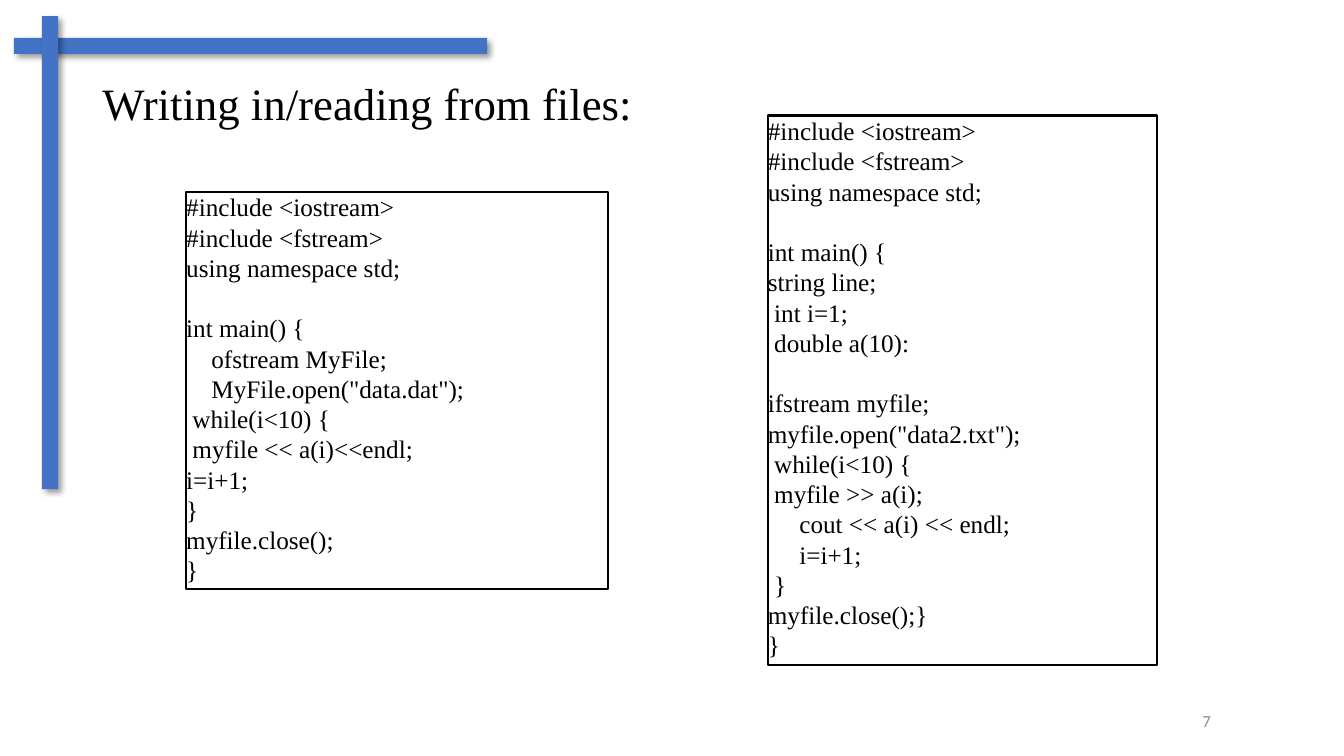
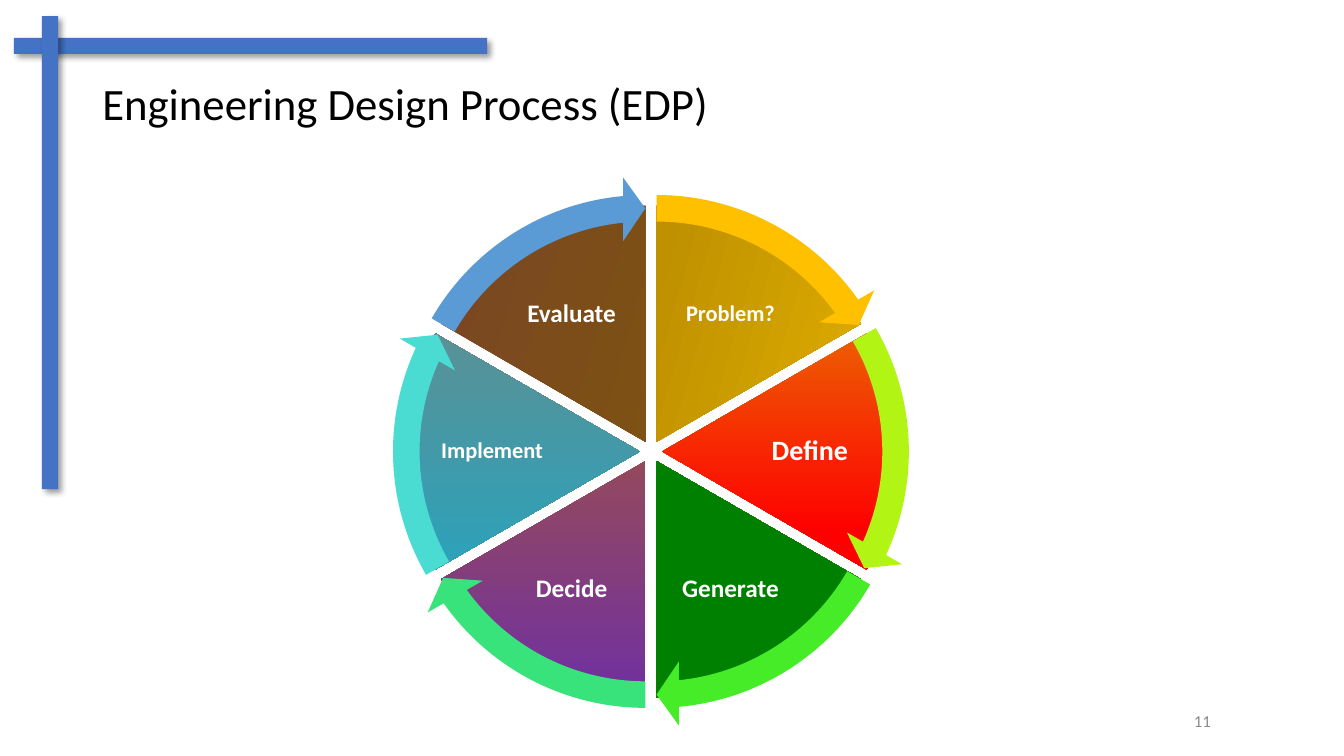
import math
from dataclasses import dataclass

import lxml.etree
import pptx
import pptx.dml.color
import pptx.enum.shapes
import pptx.enum.text
import pptx.oxml.ns
import pptx.util

Pt = pptx.util.Pt
Shape = pptx.enum.shapes.MSO_SHAPE
Align = pptx.enum.text.PP_ALIGN
Anchor = pptx.enum.text.MSO_ANCHOR
qn = pptx.oxml.ns.qn


@dataclass(frozen=True)
class Theme:
    sans: str = "Calibri"
    serif: str = "Times New Roman"
    ink: str = "000000"
    white: str = "FFFFFF"
    grey: str = "8C8C8C"
    bar: str = "4472C4"
    title: int = 32
    code: int = 18
    page: int = 12


THEME = Theme()

WRITE = """#include <iostream>
#include <fstream>
using namespace std;

int main() {
    ofstream MyFile;
    MyFile.open("data.dat");
 while(i<10) {
 myfile << a(i)<<endl;
i=i+1;
}
myfile.close();
}"""

READ = """#include <iostream>
#include <fstream>
using namespace std;

int main() {
string line;
 int i=1;
 double a(10):

ifstream myfile;
myfile.open("data2.txt");
 while(i<10) {
 myfile >> a(i);
     cout << a(i) << endl;
     i=i+1;
 }
myfile.close();}
}"""

# Clockwise from the top: label, type size, arrow colour, angle, gradient stops
STEPS = [
    ("Problem?", 16, "FFC000", 16,
     [(0, "F4B700"), (41, "BF9000"), (97, "E6B500"), (100, "D19D00")]),
    ("Define", 20, "B2F514", 90, [(1, "E29504"), (67, "FF0000")]),
    ("Generate", 18, "46EC27", 16, [(1, "E29504"), (44, "008000")]),
    ("Decide", 18, "39E37B", 90, [(1, "B9621A"), (100, "7030A0")]),
    ("Implement", 16, "4ADCD2", 90,
     [(0, "7A4426"), (22, "5C9094"), (100, "14ABCE")]),
    ("Evaluate", 18, "5B9BD5", 16, [(0, "7A4426"), (100, "806000")]),
]


def rgb(code):
    return pptx.dml.color.RGBColor.from_string(code)


def add_text(slide, box, text, size, font, color, align=Align.LEFT,
             anchor=Anchor.MIDDLE, inset=None, space=None, bold=False):
    """Add a text box holding one paragraph in one style."""
    shape = slide.shapes.add_textbox(*map(Pt, box))
    frame = shape.text_frame
    frame.word_wrap = True
    frame.vertical_anchor = anchor
    if inset is not None:
        frame.margin_left = frame.margin_right = Pt(inset)
        frame.margin_top = frame.margin_bottom = Pt(inset)
    para = frame.paragraphs[0]
    para.text = text
    para.alignment = align
    para.line_spacing = space
    for run in para.runs:
        run.font.size = Pt(size)
        run.font.name = font
        run.font.bold = bold
        run.font.color.rgb = rgb(color)
    return shape


def add_form(slide, kind, box, color=None):
    """Add a preset shape with no line and no shadow."""
    shape = slide.shapes.add_shape(kind, *map(Pt, box))
    shape.shadow.inherit = False
    shape.line.fill.background()
    if color:
        shape.fill.solid()
        shape.fill.fore_color.rgb = rgb(color)
    return shape


def add_node(parent, tag, **attrs):
    return lxml.etree.SubElement(
        parent, qn(tag), {key: str(val) for key, val in attrs.items()})


def add_bar(slide, box):
    """Add a blue bar with a soft shadow to the lower right."""
    bar = add_form(slide, Shape.RECTANGLE, box, THEME.bar)
    glow = add_node(bar.element.spPr.find(qn("a:effectLst")), "a:outerShdw",
                    blurRad=Pt(4), dist=Pt(3), dir=45 * 60000,
                    algn="tl", rotWithShape=0)
    tint = add_node(glow, "a:srgbClr", val="000000")
    add_node(tint, "a:alpha", val=40000)


def add_blend(shape, angle, stops):
    """Fill a shape with a linear gradient, angle clockwise."""
    shape.fill.gradient()
    shape.fill.gradient_angle = 360 - angle
    group = shape.element.spPr.find(".//" + qn("a:gsLst"))
    for stop in list(group):
        group.remove(stop)
    for place, color in stops:
        stop = add_node(group, "a:gs", pos=place * 1000)
        add_node(stop, "a:srgbClr", val=color)


def add_code(slide, box, code):
    """Add a framed code listing."""
    shape = add_text(slide, box, code, THEME.code, THEME.serif, THEME.ink,
                     anchor=Anchor.TOP, inset=0, space=Pt(21.6))
    shape.line.color.rgb = rgb(THEME.ink)
    shape.line.width = Pt(1.5)


def add_wheel(slide, mid_x, mid_y):
    """Add a ring of wedges, each with a label and a curved arrow."""
    turn = 216  # full circle in adjustment units
    share = turn / len(STEPS)
    gap, reach = 8, 113.5

    def place(angle, dist, wide, high):
        x = mid_x + dist * math.cos(angle)
        y = mid_y + dist * math.sin(angle)
        return x - wide / 2, y - high / 2, wide, high

    arrows = []
    for index, (label, size, color, slope, stops) in enumerate(STEPS):
        start = (turn * 3 / 4 + index * share) % turn
        end = (start + share) % turn
        angle = math.tau * (start + share / 2) / turn

        wedge = add_form(slide, Shape.PIE, place(angle, gap, 337, 337))
        wedge.adjustments[0], wedge.adjustments[1] = start, end
        add_blend(wedge, slope, stops)
        add_text(slide, place(angle, reach, 90, 68), label, size, THEME.sans,
                 THEME.white, Align.CENTER, inset=2, space=0.9, bold=True)
        arrows.append((place(angle, gap, 379, 379), color, start))

    # Arrows lie above all wedges
    for box, color, start in arrows:
        arrow = add_form(slide, Shape.CIRCULAR_ARROW, box, color)
        tip = (start + 32.72) % turn
        for index, value in enumerate((0.05, 3.28, tip, start, 0.06)):
            arrow.adjustments[index] = value


def add_slide(deck, title, font, page):
    """Add a slide with the shared bars, title and page number."""
    slide = deck.slides.add_slide(deck.slide_layouts[6])
    add_bar(slide, (10, 27, 338, 11.5))
    add_bar(slide, (30, 11.5, 11.5, 338))
    add_text(slide, (66, 29, 828, 94), title, THEME.title, font, THEME.ink,
             space=0.9)
    add_text(slide, (656, 500.5, 216, 29), page, THEME.page, THEME.sans,
             THEME.grey, Align.RIGHT)
    return slide


def main():
    deck = pptx.Presentation()
    deck.slide_width, deck.slide_height = Pt(960), Pt(540)

    # File input and output
    slide = add_slide(deck, "Writing in/reading from files:", THEME.serif, "7")
    add_code(slide, (133, 137, 301, 283.5), WRITE)
    add_code(slide, (548.5, 82.5, 278, 392.5), READ)

    # Design process
    slide = add_slide(deck, "Engineering Design Process (EDP)", THEME.sans, "11")
    add_wheel(slide, 465, 322.5)

    deck.save("out.pptx")


if __name__ == "__main__":
    main()
